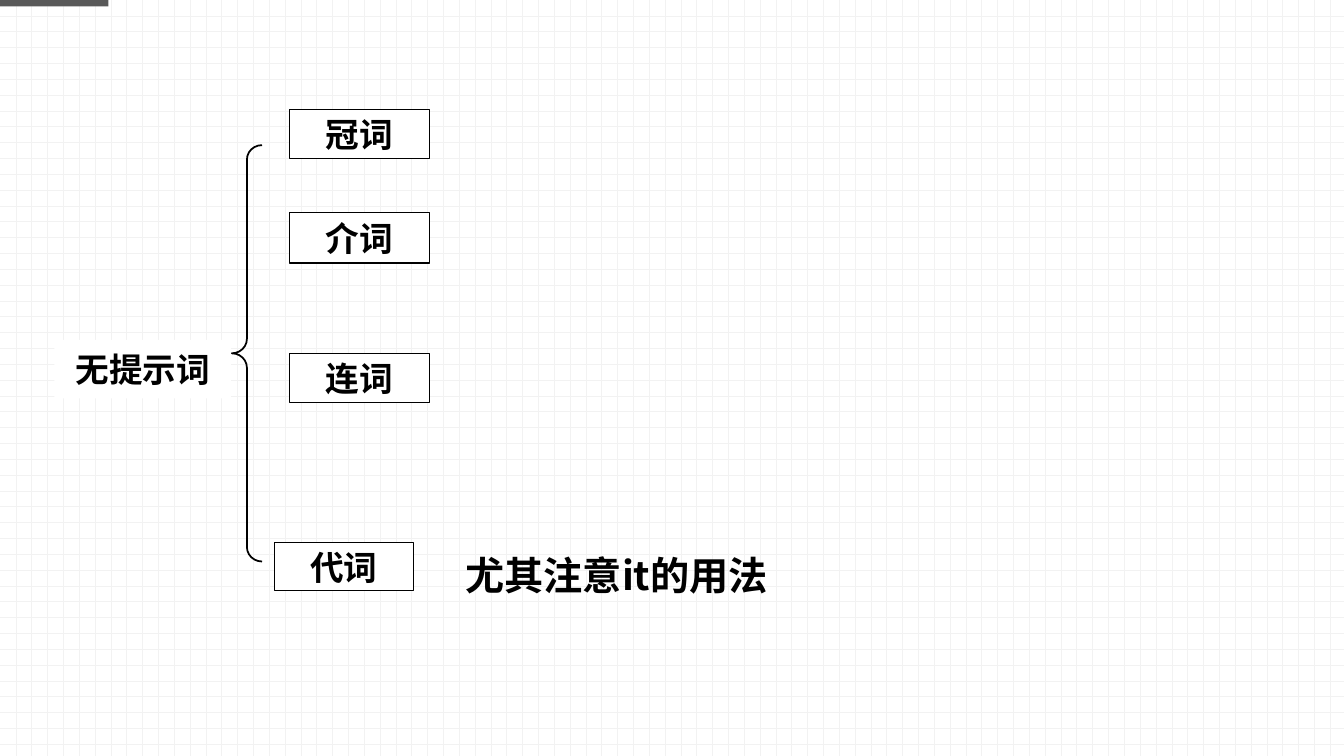
from pptx import Presentation
from pptx.dml.color import RGBColor
from pptx.enum.dml import MSO_PATTERN
from pptx.enum.shapes import MSO_SHAPE as Preset
from pptx.enum.text import MSO_ANCHOR as Anchor, PP_ALIGN as Align
from pptx.oxml.ns import qn
from pptx.util import Pt
from lxml import etree

BLACK = RGBColor(0, 0, 0)
WHITE = RGBColor(255, 255, 255)
GRID = RGBColor(0xF2, 0xF2, 0xF2)
GREY = RGBColor(0x59, 0x59, 0x59)
FONT = "Noto Sans CJK SC"


def add_shape(page, preset, box, fill=None, line_width=None):
    """Add a shape without shadow, with an optional fill and black outline."""
    shape = page.shapes.add_shape(preset, *map(Pt, box))
    shape.shadow.inherit = False
    if fill is None:
        shape.fill.background()
    else:
        shape.fill.solid()
        shape.fill.fore_color.rgb = fill
    if line_width is None:
        shape.line.fill.background()
    else:
        shape.line.color.rgb = BLACK
        shape.line.width = Pt(line_width)
    return shape


def write(shape, text, size=24, align=Align.CENTER, margin=(0, 0)):
    """Write one bold black line, vertically centred, into a shape."""
    frame = shape.text_frame
    frame.word_wrap = True
    frame.vertical_anchor = Anchor.MIDDLE
    frame.margin_left = frame.margin_right = Pt(margin[0])
    frame.margin_top = frame.margin_bottom = Pt(margin[1])
    para = frame.paragraphs[0]
    para.alignment = align
    span = para.add_run()
    span.text = text
    font = span.font
    font.size = Pt(size)
    font.bold = True
    font.color.rgb = BLACK
    font.name = FONT
    etree.SubElement(span._r.get_or_add_rPr(), qn("a:ea")).set("typeface", FONT)


def draw_background(page):
    """Cover the page with a pale grid and put the grey tab in its corner."""
    fill = page.background.fill
    fill.patterned()
    fill.pattern = MSO_PATTERN.DOTTED_GRID
    fill.fore_color.rgb = GRID
    fill.back_color.rgb = WHITE
    add_shape(page, Preset.RECTANGLE, (0, 0, 77.5, 4.5), fill=GREY)


def draw_word_classes(page, box, topic, classes):
    """Draw the brace, the boxes of its word classes and the topic."""
    left, top, width, height = box
    brace = add_shape(page, Preset.LEFT_BRACE,
                      (left + 126.7, top + 25.2, 21.6, 297.4), line_width=1.25)
    brace.adjustments[0] = 0.477
    brace.adjustments[1] = 0.5
    for name, x, y, box_height in classes:
        label = add_shape(page, Preset.RECTANGLE,
                          (left + x, top + y, width - x, box_height),
                          fill=WHITE, line_width=0.75)
        write(label, name)
    heading = add_shape(page, Preset.RECTANGLE,
                        (left, top + 164.2, 126, 41.8), fill=WHITE)
    write(heading, topic, margin=(7.2, 3.6))


def draw_note(page, box, text):
    """Add the remark beside the last word class."""
    note = page.shapes.add_textbox(*map(Pt, box))
    write(note, text, size=28, align=Align.LEFT, margin=(7.2, 3.6))


def main():
    """Build the slide and save the deck."""
    deck = Presentation()
    deck.slide_width, deck.slide_height = Pt(960), Pt(540)
    page = deck.slides.add_slide(deck.slide_layouts[6])
    draw_background(page)
    classes = [("冠词", 167.7, 0, 35), ("介词", 167.7, 73.4, 36),
               ("连词", 167.7, 174.2, 35)]
    draw_word_classes(page, (38.9, 78.5, 267.8, 344), "无提示词", classes)
    pronoun = add_shape(page, Preset.RECTANGLE, (195.8, 387.4, 99.4, 34.6),
                        fill=WHITE, line_width=0.75)
    write(pronoun, "代词")
    draw_note(page, (325.4, 390.2, 265.7, 41), "尤其注意it的用法")
    deck.save("out.pptx")


if __name__ == "__main__":
    main()
